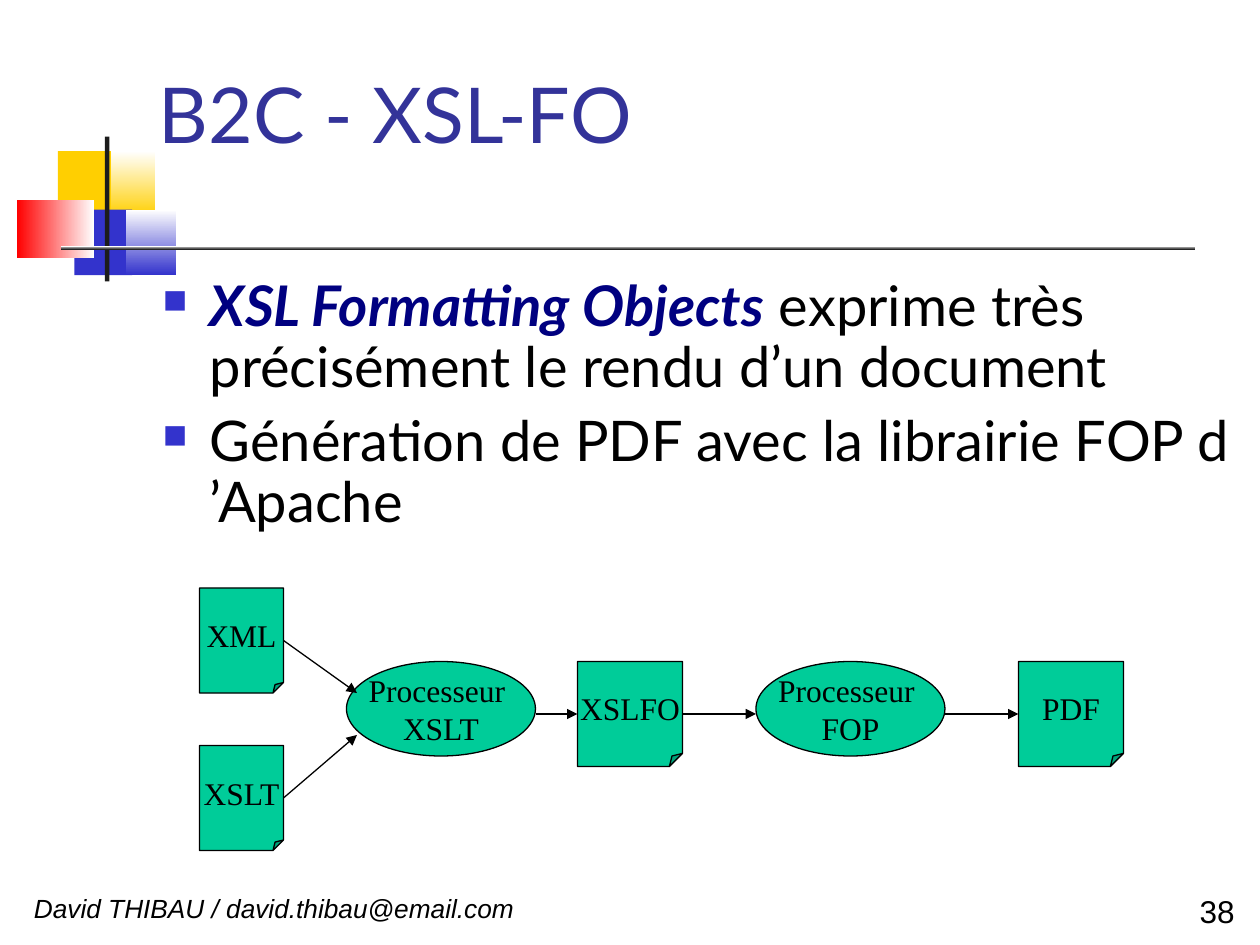
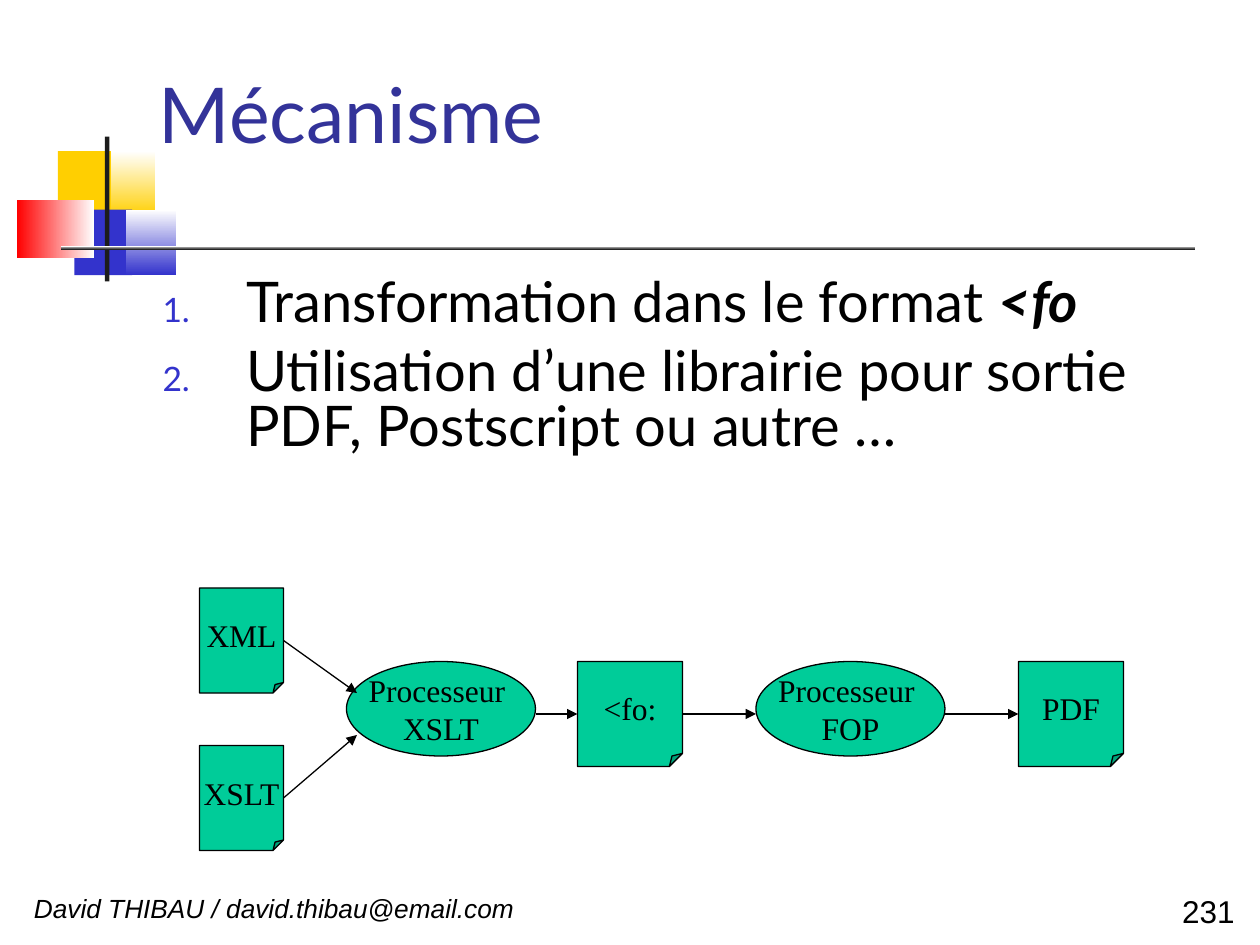
"""Build two XSL-FO slides that share one frame and one processing diagram."""
from dataclasses import dataclass
from typing import NamedTuple, Optional

from lxml import etree
from pptx import Presentation
from pptx import util as u
from pptx.dml import color
from pptx.enum import shapes, text
from pptx.oxml import ns

Pt = u.Pt
Kind = shapes.MSO_SHAPE
Align = text.PP_ALIGN
Anchor = text.MSO_ANCHOR


@dataclass(frozen=True)
class Theme:
    """Colours, fonts and type sizes of the deck."""
    title: str = "333399"
    ink: str = "000000"
    accent: str = "000080"
    blue: str = "3333CC"
    yellow: str = "FFCF01"
    red: str = "FF0000"
    white: str = "FFFFFF"
    dark: str = "1C1C1C"
    node: str = "00CC99"
    body_font: str = "Lato"
    footer_font: str = "Arial"
    node_font: str = "Times New Roman"
    title_size: float = 44
    body_size: float = 32
    node_size: float = 18
    footer_size: float = 15
    number_size: float = 18
    line_width: float = 0.75


THEME = Theme()


class Frame(NamedTuple):
    """Left, top, width and height in points."""
    left: float
    top: float
    width: float
    height: float

    def lengths(self) -> list:
        """Return the four values as lengths."""
        return [Pt(value) for value in self]


class Style(NamedTuple):
    """Font, size, colour and slant of a span."""
    font: str
    size: float
    color: str
    bold: bool = False
    italic: bool = False


class Span(NamedTuple):
    """Words set in one style."""
    words: str
    style: Style


class Block(NamedTuple):
    """Decorative block, plain or with a gradient."""
    frame: Frame
    start: str
    end: Optional[str] = None
    angle: float = 90


class Node(NamedTuple):
    """Document or processor in the diagram."""
    kind: Kind
    frame: Frame
    lines: tuple[str, ...]


class Arrow(NamedTuple):
    """Arrow from one point to another."""
    x1: float
    y1: float
    x2: float
    y2: float


class Listing(NamedTuple):
    """Bulleted or numbered items of a slide."""
    items: list[list[Span]]
    height: float
    indent: float
    spacing: float
    bullet: tuple[str, dict[str, str]]


class Lesson(NamedTuple):
    """Content that differs between slides."""
    title: str
    number: str
    listing: Listing
    middle_document: str


TITLE = Style(THEME.body_font, THEME.title_size, THEME.title)
BODY = Style(THEME.body_font, THEME.body_size, THEME.ink)
STRONG = BODY._replace(bold=True, italic=True)
LABEL = Style(THEME.node_font, THEME.node_size, THEME.ink)
FOOTER = Style(THEME.footer_font, THEME.footer_size, THEME.ink, italic=True)
NUMBER = Style(THEME.footer_font, THEME.number_size, THEME.ink)

TITLE_FRAME = Frame(90.7, 6.5, 613.4, 125.3)
FOOTER_FRAME = Frame(19.4, 514.1, 612.7, 13.7)
NUMBER_FRAME = Frame(623.5, 514.8, 82.1, 16.6)
BODY_LEFT, BODY_TOP, BODY_WIDTH = 92.9, 159.1, 612

BLOCKS = [
    Block(Frame(33.1, 86.4, 34.5, 37.4), THEME.yellow),
    Block(Frame(63.3, 86.4, 25.5, 37.4), THEME.yellow, THEME.white),
    Block(Frame(42.5, 119.8, 33.1, 37.4), THEME.blue),
    Block(Frame(72, 119.8, 28.8, 37.4), THEME.blue, THEME.white),
    Block(Frame(9.8, 114, 43.9, 33.3), THEME.white, THEME.red, 180),
    Block(Frame(60, 78, 2.5, 82.8), THEME.dark),
    Block(Frame(34.8, 140.3, 648, 2.4), THEME.dark, THEME.white),
]

ARROWS = [Arrow(162, 366, 204, 396), Arrow(162, 456, 204, 420)] + [
    Arrow(start, 408, end, 408) for start, end in ((306, 330), (390, 432), (540, 582))
]

LESSONS = [
    Lesson("B2C - XSL-FO", "38", Listing(
        [[Span("XSL Formatting Objects", STRONG._replace(color=THEME.accent)),
          Span(" exprime très précisément le rendu d’un document", BODY)],
         [Span("Génération de PDF avec la librairie FOP d ’Apache", BODY)]],
        180.7, 27, 0.9, ("a:buChar", {"char": "■"})), "XSLFO"),
    Lesson("Mécanisme", "231", Listing(
        [[Span("Transformation dans le format ", BODY), Span("<fo", STRONG)],
         [Span("Utilisation d’une librairie pour sortie PDF, Postscript ou autre …", BODY)]],
        343.4, 47.9, 0.82, ("a:buAutoNum", {"type": "arabicPeriod"})), "<fo:"),
]


def rgb(value: str) -> color.RGBColor:
    """Turn a hex value into a colour."""
    return color.RGBColor.from_string(value)


def add_element(parent, tag: str, **attributes: str):
    """Append an XML element to its parent."""
    return etree.SubElement(parent, ns.qn(tag), attributes)


def add_span(para, words: str, style: Style) -> None:
    """Add one styled run to a paragraph."""
    span = para.add_run()
    span.text = words
    font = span.font
    font.name, font.size = style.font, Pt(style.size)
    font.bold, font.italic = style.bold, style.italic
    font.color.rgb = rgb(style.color)


def prepare_frame(frame, anchor=Anchor.TOP, wrap: bool = True) -> None:
    """Remove insets and set anchor and wrapping."""
    frame.margin_left = frame.margin_right = frame.margin_top = frame.margin_bottom = 0
    frame.vertical_anchor = anchor
    frame.auto_size = text.MSO_AUTO_SIZE.NONE
    frame.word_wrap = wrap


def write_line(frame, words: str, style: Style, align=Align.LEFT, spacing: float = 1) -> None:
    """Write one line into the first paragraph of a frame."""
    para = frame.paragraphs[0]
    para.alignment, para.line_spacing = align, spacing
    add_span(para, words, style)


def draw_block(page, block: Block) -> None:
    """Draw one decorative block."""
    box = page.shapes.add_shape(Kind.RECTANGLE, *block.frame.lengths())
    box.shadow.inherit = False
    box.line.fill.background()
    if block.end is None:
        box.fill.solid()
        box.fill.fore_color.rgb = rgb(block.start)
        return
    box.fill.gradient()
    box.fill.gradient_angle = block.angle
    for stop, value in zip(box.fill.gradient_stops, (block.start, block.end)):
        stop.color.rgb = rgb(value)


def draw_frame(page, lesson: Lesson) -> None:
    """Draw the blocks, the title and the footer of a slide."""
    for block in BLOCKS:
        draw_block(page, block)
    title = page.shapes.title
    title.left, title.top, title.width, title.height = TITLE_FRAME.lengths()
    prepare_frame(title.text_frame, Anchor.MIDDLE)
    write_line(title.text_frame, lesson.title, TITLE, spacing=0.82)
    for place, words, style, align in (
        (FOOTER_FRAME, "David THIBAU / david.thibau@email.com", FOOTER, Align.LEFT),
        (NUMBER_FRAME, lesson.number, NUMBER, Align.RIGHT),
    ):
        box = page.shapes.add_textbox(*place.lengths())
        prepare_frame(box.text_frame)
        write_line(box.text_frame, words, style, align, 0.76)


def draw_listing(page, listing: Listing) -> None:
    """Draw the bulleted or numbered text."""
    place = Frame(BODY_LEFT, BODY_TOP, BODY_WIDTH, listing.height)
    frame = page.shapes.add_textbox(*place.lengths()).text_frame
    prepare_frame(frame)
    tag, attributes = listing.bullet
    for index, spans in enumerate(listing.items):
        para = frame.add_paragraph() if index else frame.paragraphs[0]
        properties = para._p.get_or_add_pPr()
        properties.set("marL", str(Pt(listing.indent)))
        properties.set("indent", str(-Pt(listing.indent)))
        add_element(add_element(properties, "a:buClr"), "a:srgbClr", val=THEME.blue)
        add_element(properties, "a:buSzPct", val="60000")
        add_element(properties, tag, **attributes)
        para.line_spacing = listing.spacing
        para.space_before = Pt(8 if index else 0)
        for span in spans:
            add_span(para, *span)


def draw_node(page, node: Node) -> None:
    """Draw one document or processor with its label."""
    box = page.shapes.add_shape(node.kind, *node.frame.lengths())
    box.shadow.inherit = False
    box.fill.solid()
    box.fill.fore_color.rgb = rgb(THEME.node)
    box.line.color.rgb = rgb(THEME.ink)
    box.line.width = Pt(THEME.line_width)
    if node.kind == Kind.FOLDED_CORNER:
        guides = next(box._element.iter(ns.qn("a:avLst")))
        add_element(guides, "a:gd", name="adj", fmla="val 12500")
    frame = box.text_frame
    prepare_frame(frame, Anchor.MIDDLE, wrap=False)
    for index, words in enumerate(node.lines):
        para = frame.add_paragraph() if index else frame.paragraphs[0]
        para.alignment = Align.CENTER
        add_span(para, words, LABEL)


def draw_arrow(page, arrow: Arrow) -> None:
    """Draw one arrow of the diagram."""
    ends = [Pt(value) for value in arrow]
    connector = page.shapes.add_connector(shapes.MSO_CONNECTOR.STRAIGHT, *ends)
    connector.line.color.rgb = rgb(THEME.ink)
    connector.line.width = Pt(THEME.line_width)
    add_element(connector.line._get_or_add_ln(), "a:tailEnd", type="triangle")
    add_element(connector._element.spPr, "a:effectLst")


def draw_diagram(page, middle_document: str) -> None:
    """Draw the chain from XML and XSLT to PDF."""
    sheet, oval = Kind.FOLDED_CORNER, Kind.OVAL
    nodes = [
        Node(sheet, Frame(114, 336, 48, 60), ("XML",)),
        Node(sheet, Frame(114, 426, 48, 60), ("XSLT",)),
        Node(oval, Frame(198, 378, 108, 54), ("Processeur ", "XSLT")),
        Node(sheet, Frame(330, 378, 60, 60), (middle_document,)),
        Node(oval, Frame(432, 378, 108, 54), ("Processeur ", "FOP")),
        Node(sheet, Frame(582, 378, 60, 60), ("PDF",)),
    ]
    for node in nodes:
        draw_node(page, node)
    for arrow in ARROWS:
        draw_arrow(page, arrow)


def main() -> None:
    """Build and save the deck."""
    deck = Presentation()
    deck.slide_width, deck.slide_height = Pt(720), Pt(540)
    title_only = deck.slide_layouts.get_by_name("Title Only")
    for lesson in LESSONS:
        page = deck.slides.add_slide(title_only)
        draw_frame(page, lesson)
        draw_listing(page, lesson.listing)
        draw_diagram(page, lesson.middle_document)
    deck.save("out.pptx")


if __name__ == "__main__":
    main()
